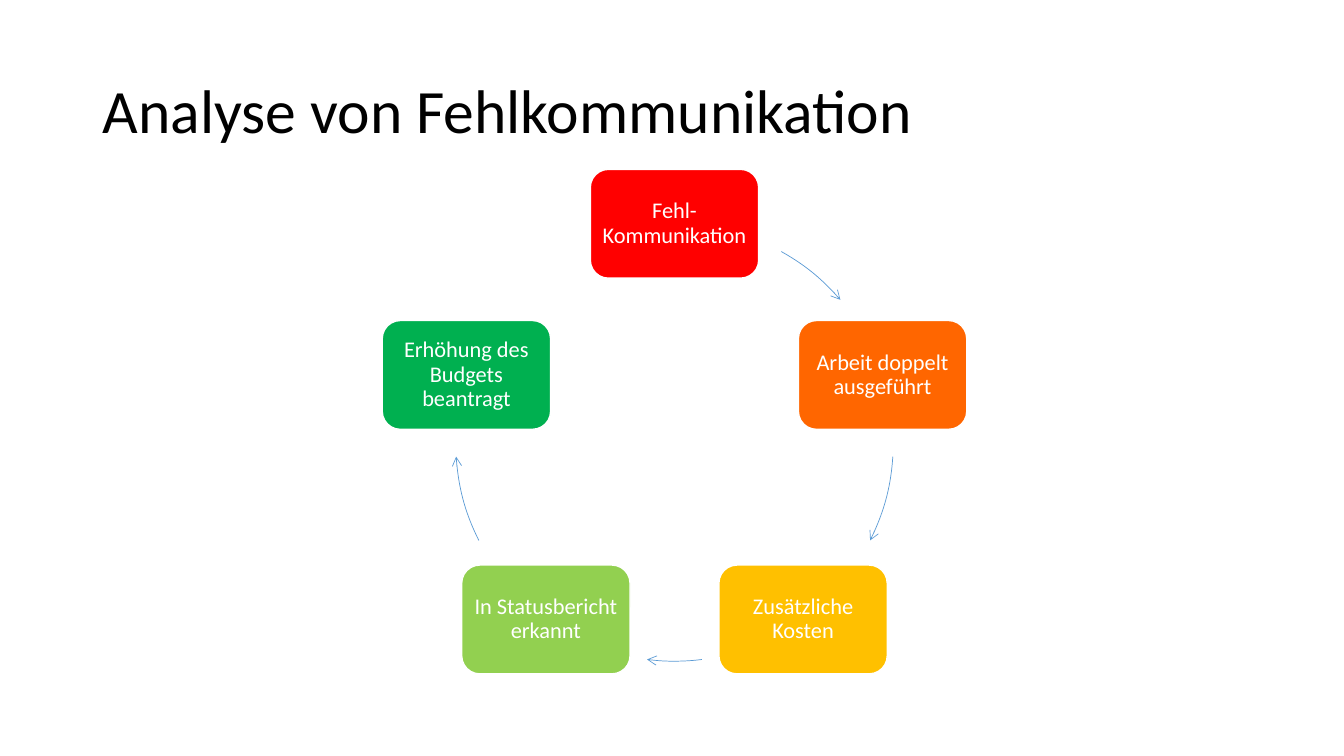
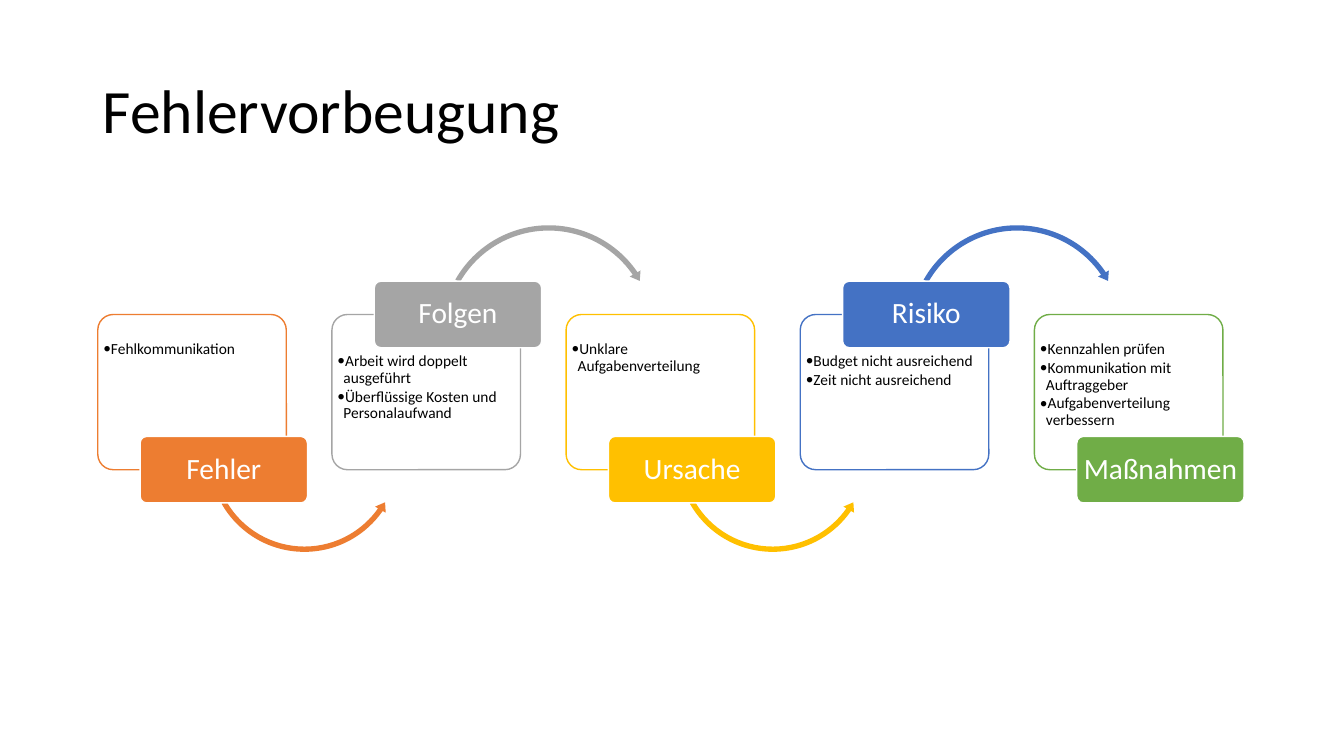
import math

import lxml.etree
import pptx
import pptx.dml.color
import pptx.enum.shapes
import pptx.enum.text
import pptx.oxml.ns
import pptx.util

Inches = pptx.util.Inches
Pt = pptx.util.Pt
SHAPE = pptx.enum.shapes.MSO_SHAPE
ALIGN = pptx.enum.text.PP_ALIGN
ANCHOR = pptx.enum.text.MSO_ANCHOR
qn = pptx.oxml.ns.qn

FONT = "Calibri"
COLORS = {
    "black": "000000",
    "white": "FFFFFF",
    "red": "FF0000",
    "deep orange": "FF6600",
    "yellow": "FFC000",
    "light green": "92D050",
    "green": "00B050",
    "blue": "5B9BD5",
    "orange": "ED7D31",
    "gray": "A5A5A5",
    "royal blue": "4472C4",
    "grass": "70AD47",
}


def add_box(page, kind, place, fill, line, width=1):
    box = page.shapes.add_shape(kind, *[Inches(length) for length in place])
    box.shadow.inherit = False
    if fill:
        box.fill.solid()
        box.fill.fore_color.rgb = pptx.dml.color.RGBColor.from_string(COLORS[fill])
    else:
        box.fill.background()
    if line:
        box.line.color.rgb = pptx.dml.color.RGBColor.from_string(COLORS[line])
        box.line.width = Pt(width)
    else:
        box.line.fill.background()
    return box


def write(box, lines, size, color, align, anchor, insets=None, bullets=False):
    frame = box.text_frame
    frame.word_wrap = True
    frame.auto_size = pptx.enum.text.MSO_AUTO_SIZE.NONE
    frame.vertical_anchor = anchor
    if insets:
        side, top, bottom = insets
        frame.margin_left = frame.margin_right = Inches(side)
        frame.margin_top, frame.margin_bottom = Inches(top), Inches(bottom)
    for index, line in enumerate(lines):
        para = frame.add_paragraph() if index else frame.paragraphs[0]
        para.text = line
        if bullets:
            properties = para._p.get_or_add_pPr()
            properties.set("marL", str(Inches(0.06)))
            properties.set("indent", str(-Inches(0.06)))
            lxml.etree.SubElement(properties, qn("a:buFont")).set("typeface", FONT)
            lxml.etree.SubElement(properties, qn("a:buChar")).set("char", "•")
            para.space_after = Pt(1.65)
        para.alignment = align
        para.line_spacing = 0.9
        para.font.name = FONT
        para.font.size = Pt(size)
        para.font.color.rgb = pptx.dml.color.RGBColor.from_string(COLORS[color])


deck = pptx.Presentation()
deck.slide_width, deck.slide_height = Inches(13.33), Inches(7.5)

pages = []
for heading in ("Analyse von Fehlkommunikation", "Fehlervorbeugung"):
    page = deck.slides.add_slide(deck.slide_layouts[5])
    title = page.shapes.title
    title.left, title.top = Inches(0.92), Inches(0.4)
    title.width, title.height = Inches(11.5), Inches(1.45)
    write(title, [heading], 44, "black", ALIGN.LEFT, ANCHOR.MIDDLE)
    pages.append(page)
cycle_page, process_page = pages

center_x, center_y, radius = 6.69, 4.39, 2.17
box_width, box_height = 1.67, 1.08
stations = [
    ("Fehl-Kommunikation", "red"),
    ("Arbeit doppelt ausgeführt", "deep orange"),
    ("Zusätzliche Kosten", "yellow"),
    ("In Statusbericht erkannt", "light green"),
    ("Erhöhung des Budgets beantragt", "green"),
]
for index, (text, color) in enumerate(stations):
    angle = math.radians(360 / len(stations) * index - 90)
    left = center_x + radius * math.cos(angle) - box_width / 2
    top = center_y + radius * math.sin(angle) - box_height / 2
    place = (left, top, box_width, box_height)
    box = add_box(cycle_page, SHAPE.ROUNDED_RECTANGLE, place, color, "white")
    write(box, [text], 16, "white", ALIGN.CENTER, ANCHOR.MIDDLE, (0.06, 0.07, 0.07))

circle = (center_x - radius, center_y - radius, 2 * radius, 2 * radius)
for start, end in ((299.2, 319.3), (3.7, 26.6), (82.8, 97.2), (153.4, 176.3)):
    arc = add_box(cycle_page, SHAPE.ARC, circle, None, "blue", 0.5)
    for index, degrees in enumerate((start, end)):
        arc.adjustments[index] = degrees * 60000 / 100000
    outline = arc.line._get_or_add_ln()
    lxml.etree.SubElement(outline, qn("a:tailEnd")).set("type", "arrow")

steps = [
    ("Fehler", "orange", ["Fehlkommunikation"]),
    ("Folgen", "gray", ["Arbeit wird doppelt ausgeführt", "Überflüssige Kosten und Personalaufwand"]),
    ("Ursache", "yellow", ["Unklare Aufgabenverteilung"]),
    ("Risiko", "royal blue", ["Budget nicht ausreichend", "Zeit nicht ausreichend"]),
    ("Maßnahmen", "grass", ["Kennzahlen prüfen", "Kommunikation mit Auftraggeber", "Aufgabenverteilung verbessern"]),
]
first_left, last_left = 0.97, 10.26
pitch = (last_left - first_left) / (len(steps) - 1)
label_below = {
    "label top": 4.33,
    "text inset": 0.22,
    "arrow": SHAPE.LEFT_CIRCULAR_ARROW,
    "arrow place": (1.07, 3.55, 1.96),
    "adjustments": (0.027, 3.226, 20.981, 90.245, 0.031),
}
label_above = {
    "label top": 2.79,
    "text inset": 0.34,
    "arrow": SHAPE.CIRCULAR_ARROW,
    "arrow place": (1.05, 2.2, 2.2),
    "adjustments": (0.024, 2.857, 195.388, 125.755, 0.028),
}
for index, (name, color, points) in enumerate(steps):
    left = first_left + pitch * index
    style = label_above if index % 2 else label_below

    panel = add_box(process_page, SHAPE.ROUNDED_RECTANGLE, (left, 3.12, 1.87, 1.54), "white", color)
    panel.adjustments[0] = 0.1
    insets = (0.01, style["text inset"], 0.01)
    write(panel, points, 11, "black", ALIGN.LEFT, ANCHOR.TOP, insets, bullets=True)

    if index < len(steps) - 1:
        offset, top, size = style["arrow place"]
        arrow = add_box(process_page, style["arrow"], (left + offset, top, size, size), color, None)
        for number, value in enumerate(style["adjustments"]):
            arrow.adjustments[number] = value

    place = (left + 0.42, style["label top"], 1.66, 0.66)
    label = add_box(process_page, SHAPE.ROUNDED_RECTANGLE, place, color, "white")
    label.adjustments[0] = 0.1
    write(label, [name], 21, "white", ALIGN.CENTER, ANCHOR.MIDDLE, (0.04, 0.03, 0.03))

deck.save("out.pptx")
